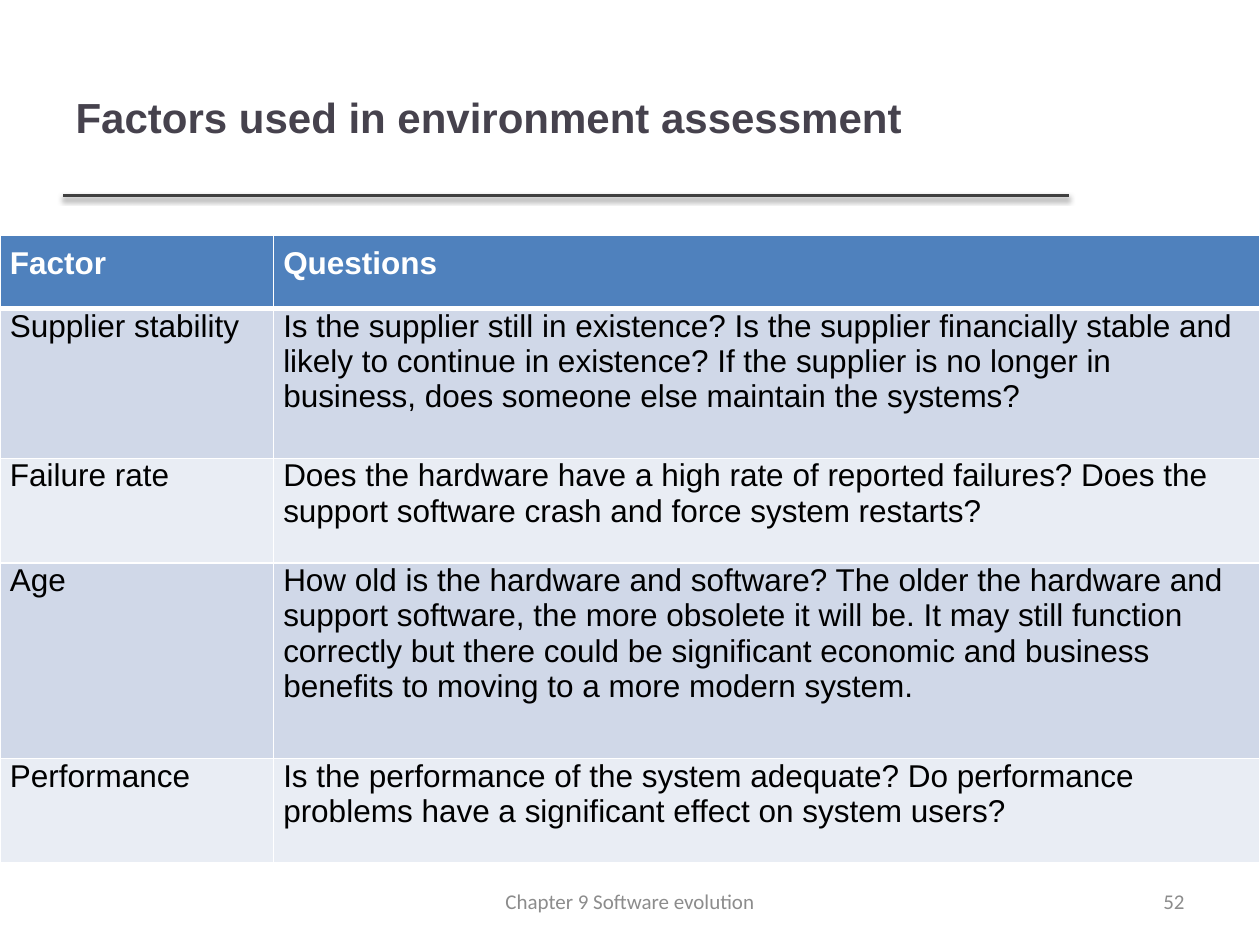
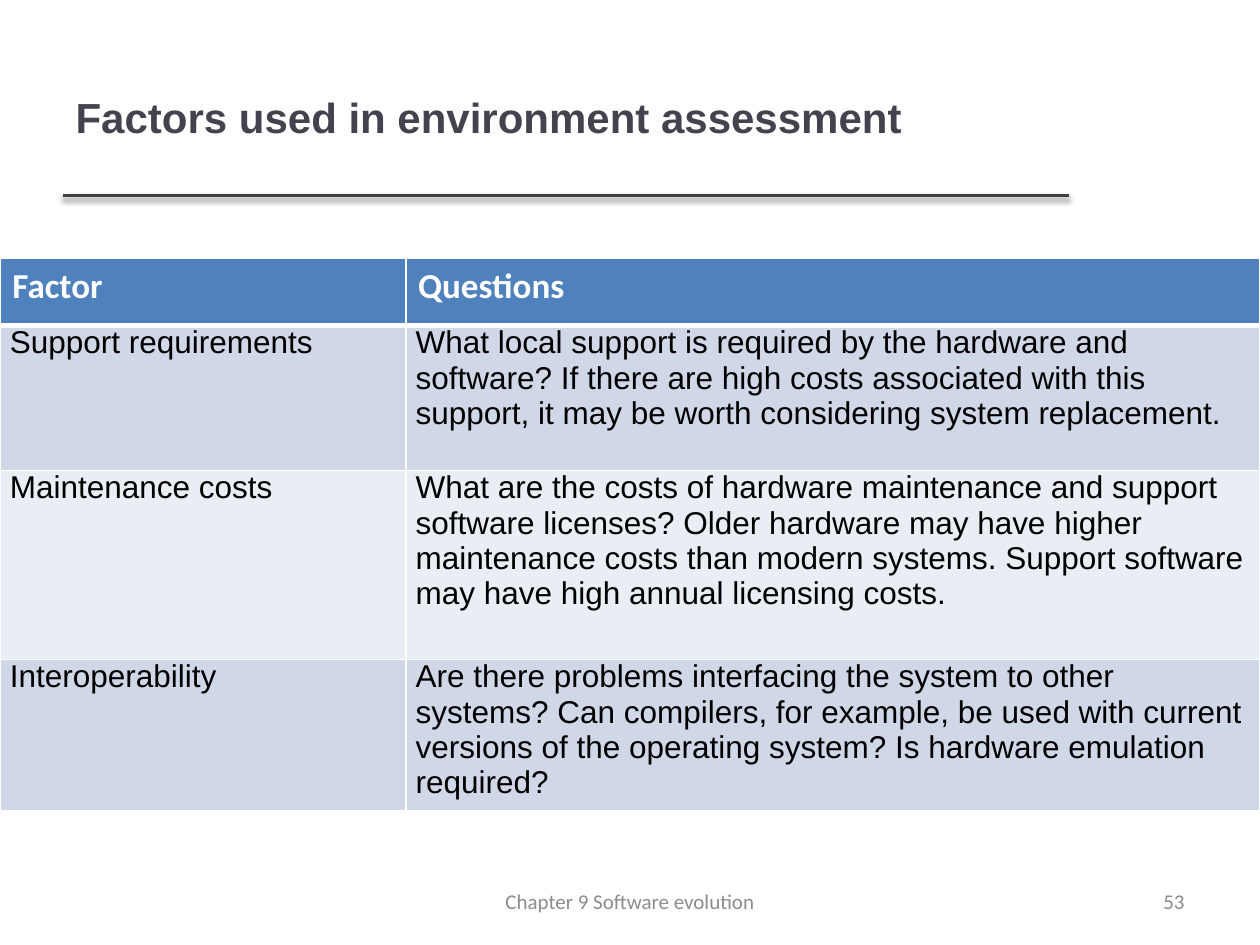
from dataclasses import dataclass

from lxml import etree
from pptx import Presentation
from pptx.dml.color import RGBColor
from pptx.enum.text import MSO_ANCHOR as Anchor, MSO_AUTO_SIZE as AutoSize, PP_ALIGN as Align
from pptx.oxml import parse_xml
from pptx.oxml.ns import nsdecls, qn
from pptx.util import Cm, Pt

WHITE = RGBColor(0xFF, 0xFF, 0xFF)
BLACK = RGBColor(0x00, 0x00, 0x00)
TITLE_GREY = RGBColor(0x46, 0x42, 0x4D)
RULE_GREY = RGBColor(0x40, 0x40, 0x40)
FOOTER_GREY = RGBColor(0x8C, 0x8C, 0x8C)
HEADER_BLUE = RGBColor(0x4F, 0x81, 0xBD)
BANDS = RGBColor(0xD0, 0xD8, 0xE8), RGBColor(0xE9, 0xED, 0xF4)

TITLE = "Factors used in environment assessment"
FOOTER = "Chapter 9 Software evolution"
TITLE_ONLY = 5


@dataclass
class Box:
    """A region of the page, in centimetres."""
    left: float
    top: float
    width: float
    height: float

    def lengths(self):
        return Cm(self.left), Cm(self.top), Cm(self.width), Cm(self.height)


@dataclass
class HeaderStyle:
    font: str
    size: int
    margins: tuple  # left, top, right, bottom in centimetres
    space_after: int


PAGE = Box(0, 0, 25.4, 19.05)
TITLE_BOX = Box(1.27, 0.76, 20.27, 3.18)
FOOTER_BOX = Box(1.27, 17.65, 22.86, 1.02)
CELL_MARGINS = 0.2, 0, 0.2, 0.2

ARIAL_HEADER = HeaderStyle("Arial", 18, (0.2, 0.2, 0.2, 0.2), 6)
CALIBRI_HEADER = HeaderStyle("Calibri", 20, (0.25, 0.13, 0.25, 0.13), 0)
BODY_STYLE = HeaderStyle("Arial", 18, CELL_MARGINS, 6)

GENERAL_FACTORS = [
    ("Factor", "Questions"),
    ("Supplier stability",
     "Is the supplier still in existence? Is the supplier financially stable and likely to "
     "continue in existence? If the supplier is no longer in business, does someone else "
     "maintain the systems?"),
    ("Failure rate",
     "Does the hardware have a high rate of reported failures? Does the support software "
     "crash and force system restarts?"),
    ("Age",
     "How old is the hardware and software? The older the hardware and support software, the "
     "more obsolete it will be. It may still function correctly but there could be "
     "significant economic and business benefits to moving to a more modern system."),
    ("Performance",
     "Is the performance of the system adequate? Do performance problems have a significant "
     "effect on system users?"),
]
SUPPORT_FACTORS = [
    ("Factor", "Questions"),
    ("Support requirements",
     "What local support is required by the hardware and software? If there are high costs "
     "associated with this support, it may be worth considering system replacement."),
    ("Maintenance costs",
     "What are the costs of hardware maintenance and support software licenses? Older "
     "hardware may have higher maintenance costs than modern systems. Support software may "
     "have high annual licensing costs."),
    ("Interoperability",
     "Are there problems interfacing the system to other systems? Can compilers, for example, "
     "be used with current versions of the operating system? Is hardware emulation required?"),
]


def write(frame, text, font, size, color, bold=False, align=Align.LEFT, space_after=0):
    frame.text = text
    para = frame.paragraphs[0]
    para.alignment = align
    para.space_after = Pt(space_after)
    for span in para.runs:
        span.font.name = font
        span.font.size = Pt(size)
        span.font.bold = bold
        span.font.color.rgb = color


def add_shadow(connector):
    connector._element.spPr.append(parse_xml(
        f'<a:effectLst {nsdecls("a")}>'
        f'<a:outerShdw blurRad="{Pt(3.1)}" dist="{Pt(1.6)}" dir="5400000" rotWithShape="0">'
        '<a:srgbClr val="000000"><a:alpha val="38000"/></a:srgbClr>'
        '</a:outerShdw></a:effectLst>'))


def add_title(slide, box):
    """Place the title in the box, with a shadowed rule along its lower edge."""
    title = slide.shapes.title
    title.left, title.top, title.width, title.height = box.lengths()
    frame = title.text_frame
    frame.auto_size = AutoSize.NONE
    frame.vertical_anchor = Anchor.MIDDLE
    write(frame, TITLE, "Arial", 24, TITLE_GREY, bold=True)

    bottom = Cm(box.top + box.height)
    rule = slide.shapes.add_connector(1, Cm(box.left), bottom, Cm(box.left + box.width), bottom)
    rule.line.color.rgb = RULE_GREY
    rule.line.width = Pt(2)
    add_shadow(rule)


def set_borders(cell, bottom_width):
    properties = cell._tc.get_or_add_tcPr()
    for side, width in (("L", 1), ("R", 1), ("T", 1), ("B", bottom_width)):
        line = etree.SubElement(properties, qn(f"a:ln{side}"), w=str(Pt(width)))
        fill = etree.SubElement(line, qn("a:solidFill"))
        etree.SubElement(fill, qn("a:srgbClr"), val=str(WHITE))


def format_cell(cell, text, style, color, fill, is_header):
    set_borders(cell, 3 if is_header else 1)
    cell.fill.solid()
    cell.fill.fore_color.rgb = fill
    (cell.margin_left, cell.margin_top,
     cell.margin_right, cell.margin_bottom) = map(Cm, style.margins)
    write(cell.text_frame, text, style.font, style.size, color,
          bold=is_header, space_after=style.space_after)


def add_factor_table(slide, box, factors, factor_width, row_heights, header_style):
    table = slide.shapes.add_table(len(factors), 2, *box.lengths()).table
    table.columns[0].width = Cm(factor_width)
    table.columns[1].width = Cm(box.width - factor_width)
    for index, (texts, height) in enumerate(zip(factors, row_heights)):
        row = table.rows[index]
        row.height = Cm(height)
        is_header = index == 0
        style = header_style if is_header else BODY_STYLE
        color = WHITE if is_header else BLACK
        fill = HEADER_BLUE if is_header else BANDS[(index - 1) % 2]
        for cell, text in zip(row.cells, texts):
            format_cell(cell, text, style, color, fill, is_header)


def add_footer(slide, box, number):
    """Centre the chapter name in the box and set the page number at its right."""
    name_width, number_width = 8.05, 5.93
    name_left = box.left + (box.width - name_width) / 2
    number_left = box.left + box.width - number_width
    for text, left, width, align in (
            (str(number), number_left, number_width, Align.RIGHT),
            (FOOTER, name_left, name_width, Align.CENTER)):
        part = slide.shapes.add_textbox(*Box(left, box.top, width, box.height).lengths())
        frame = part.text_frame
        frame.word_wrap = True
        frame.vertical_anchor = Anchor.MIDDLE
        write(frame, text, "Calibri", 12, FOOTER_GREY, align=align)


def add_factor_slide(deck, number, factors, table_top, factor_width, row_heights, header_style):
    slide = deck.slides.add_slide(deck.slide_layouts[TITLE_ONLY])
    add_title(slide, TITLE_BOX)
    table_box = Box(PAGE.left, table_top, PAGE.width, sum(row_heights))
    add_factor_table(slide, table_box, factors, factor_width, row_heights, header_style)
    add_footer(slide, FOOTER_BOX, number)


def main():
    deck = Presentation()
    deck.slide_width, deck.slide_height = Cm(PAGE.width), Cm(PAGE.height)
    add_factor_slide(deck, 52, GENERAL_FACTORS, 4.75, 5.51,
                     (1.47, 3.02, 2.11, 3.94, 2.11), ARIAL_HEADER)
    add_factor_slide(deck, 53, SUPPORT_FACTORS, 5.21, 8.18,
                     (1.35, 2.92, 3.81, 2.92), CALIBRI_HEADER)
    deck.save("out.pptx")


if __name__ == "__main__":
    main()
